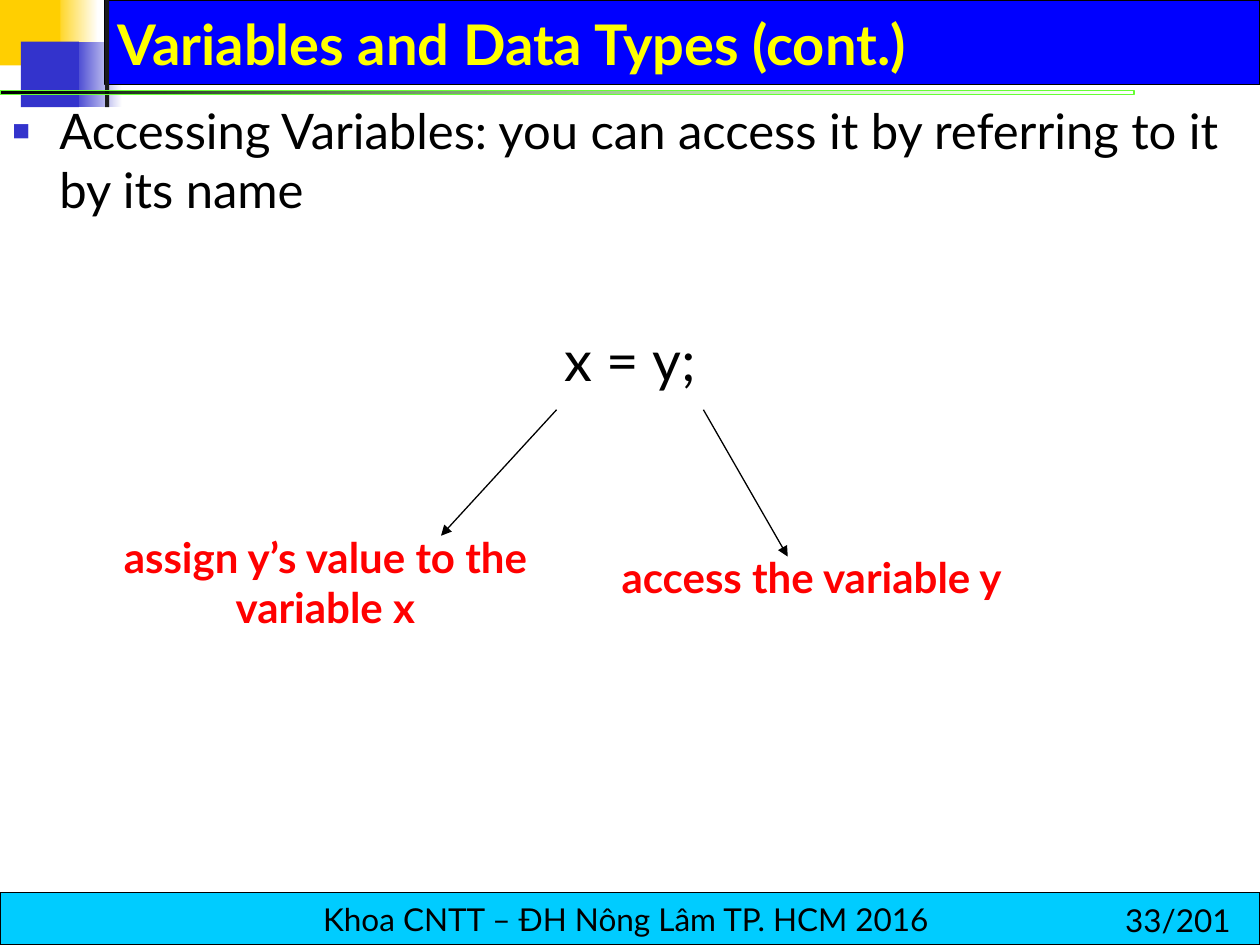
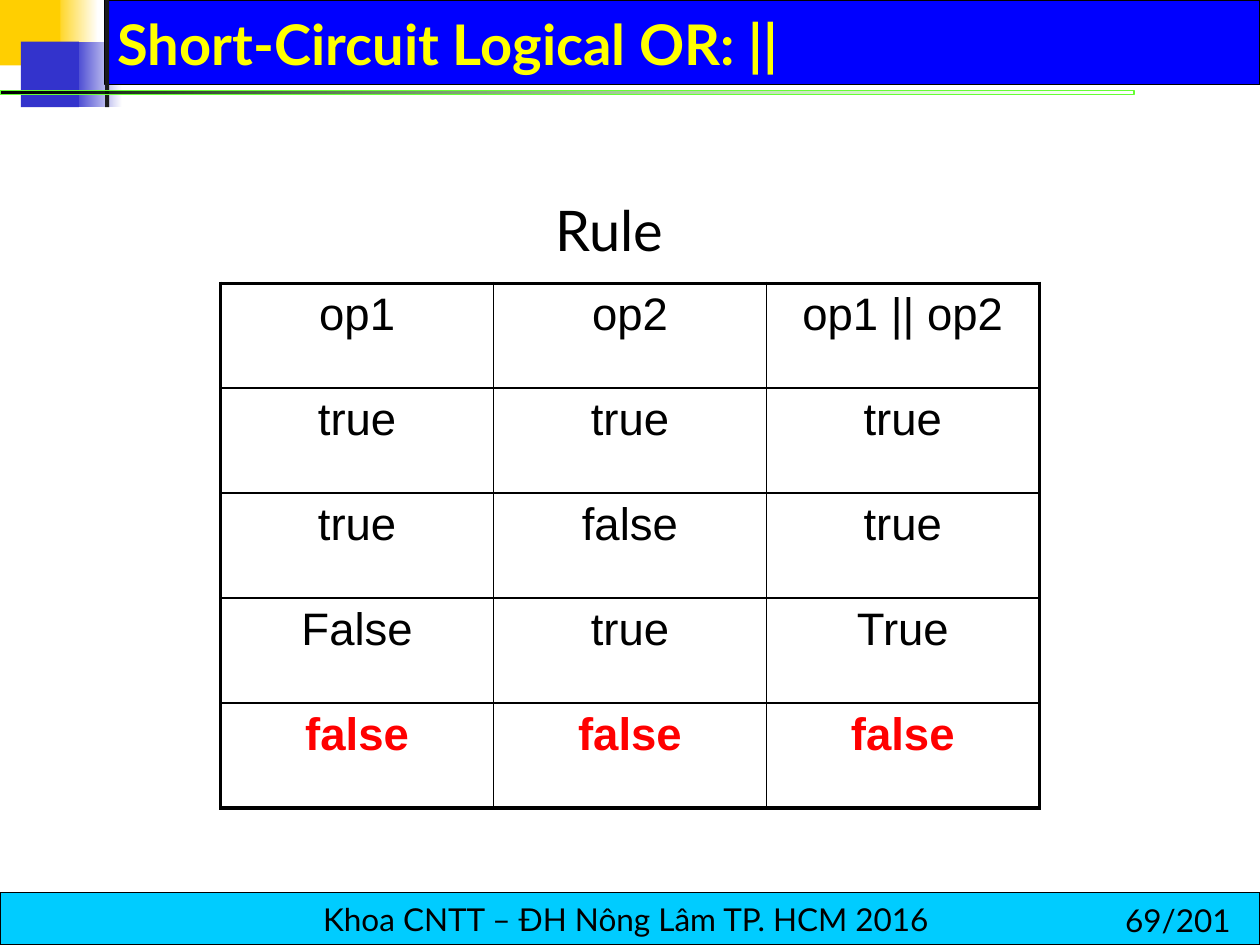
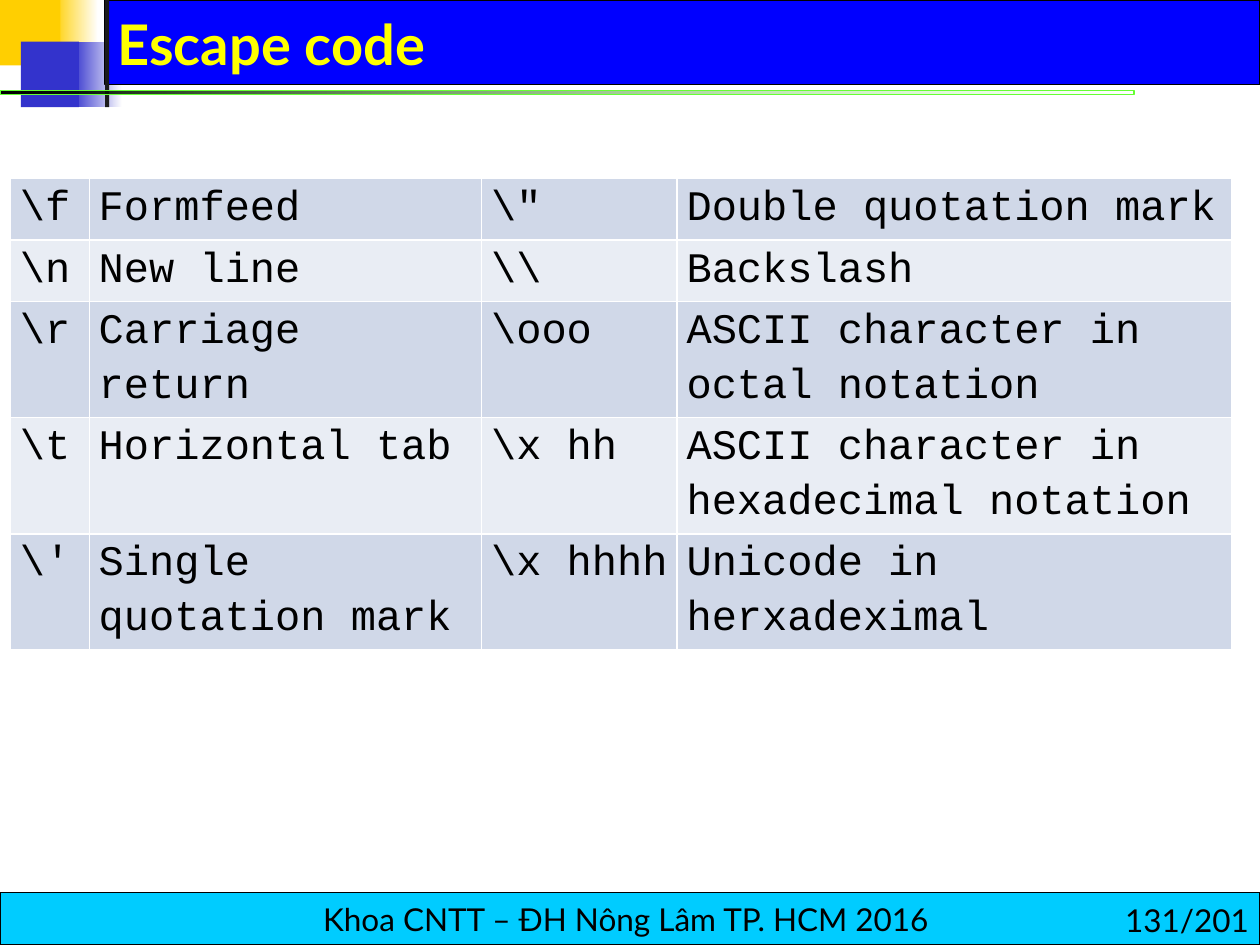
from lxml import etree
from pptx import Presentation
from pptx import util as u
from pptx.dml.color import RGBColor
from pptx.enum import shapes, text
from pptx.oxml import parse_xml
from pptx.oxml.ns import nsdecls, qn

C = {
    "black": "000000", "white": "FFFFFF", "red": "FF0000", "yellow": "FFFF00",
    "gold": "FFCF01", "indigo": "3333CC", "blue": "0000FF", "charcoal": "1C1C1C",
    "green": "66FF33", "cyan": "00CCFF", "band_dark": "D0D8E8", "band_light": "E9EDF4",
}
LEFT, CENTER = text.PP_ALIGN.LEFT, text.PP_ALIGN.CENTER
TOP, BOTTOM = text.MSO_ANCHOR.TOP, text.MSO_ANCHOR.BOTTOM


def write(tf, content, size, color="black", bold=False, align=LEFT, font="Lato"):
    tf.text = content
    p = tf.paragraphs[0]
    p.alignment = align
    r = p.runs[0]
    r.font.name = font
    r.font.size = u.Pt(size)
    r.font.bold = bold
    r.font.color.rgb = RGBColor.from_string(C[color])
    return p


def set_borders(cell, color, widths):
    tcPr = cell._tc.get_or_add_tcPr()
    for i, (side, width) in enumerate(zip("LRTB", widths)):
        tcPr.insert(i, parse_xml(
            f'<a:ln{side} {nsdecls("a")} w="{u.Pt(width)}"><a:solidFill>'
            f'<a:srgbClr val="{C[color]}"/></a:solidFill></a:ln{side}>'))


FRAME = [
    (1.07, 0, 0.91, 1.32, ("gold", "white"), None, 0),
    (1.45, 0.84, 1.02, 1.32, ("indigo", "white"), None, 0),
    (2.12, 0, 23.28, 1.7, ("blue",), "black", 0.75),
    (0, 0, 1.22, 1.32, ("gold",), None, 0),
    (0.42, 0.84, 1.17, 1.32, ("indigo",), None, 0),
    (2.12, 0, 0.08, 2.16, ("charcoal",), None, 0),
    (0, 1.83, 22.86, 0.08, ("black", "green"), "green", 0),
    (0, 17.99, 25.4, 1.06, ("cyan",), "black", 0.75),
]
FOOTER = "Khoa CNTT – ĐH Nông Lâm TP. HCM 2016 "
PAGES = [
    ("Variables and Data Types (cont.)", "33/201", [
        (12.28, 11, 9.74, 1.27, "access the variable y", 24, "red", True, LEFT, TOP),
        (6.99, 6.43, 11.43, 1.6, "x = y;", 32, "black", False, CENTER, TOP),
        (1.27, 10.58, 10.58, 2.31, "assign y’s value to the variable x", 24, "red", True, CENTER, TOP),
    ]),
    ("Short-Circuit Logical OR: ||", "69/201", [
        (8.47, 3.81, 7.62, 1.6, "Rule", 32, "black", False, CENTER, TOP),
    ]),
    ("Escape code", "131/201", []),
]

prs = Presentation()
prs.slide_width, prs.slide_height = u.Cm(25.4), u.Cm(19.05)
slides = []

for title, page, labels in PAGES:
    s = prs.slides.add_slide(prs.slide_layouts[6])
    slides.append(s)
    for x, y, w, h, fill, line, width in FRAME:
        sp = s.shapes.add_shape(shapes.MSO_SHAPE.RECTANGLE, u.Cm(x), u.Cm(y), u.Cm(w), u.Cm(h))
        sp.shadow.inherit = False
        if len(fill) == 1:
            sp.fill.solid()
            sp.fill.fore_color.rgb = RGBColor.from_string(C[fill[0]])
        else:
            sp.fill.gradient()
            sp.fill.gradient_angle = 0
            for stop, color in zip(sp.fill.gradient_stops, fill):
                stop.color.rgb = RGBColor.from_string(C[color])
        if line:
            sp.line.color.rgb = RGBColor.from_string(C[line])
            sp.line.width = u.Pt(width)
        else:
            sp.line.fill.background()
        if fill == ("black", "green"):
            end = list(sp._element.spPr.iter(qn("a:srgbClr")))[1]
            etree.SubElement(end, qn("a:alpha"), val="0")
        if fill == ("cyan",):
            sp.text_frame.word_wrap = False
            sp.text_frame.vertical_anchor = text.MSO_ANCHOR.MIDDLE
            write(sp.text_frame, FOOTER, 18, align=CENTER)

    shared = [
        (22.43, 18.03, 2.97, 1.02, page, 18, "black", False, LEFT, TOP),
        (2.12, 0.2, 22.7, 1.48, title, 32, "yellow", True, LEFT, BOTTOM),
    ]
    for x, y, w, h, content, size, color, bold, align, anchor in shared + labels:
        tf = s.shapes.add_textbox(u.Cm(x), u.Cm(y), u.Cm(w), u.Cm(h)).text_frame
        tf.word_wrap = True
        tf.vertical_anchor = anchor
        if content == page:
            tf.margin_right = 0
        write(tf, content, size, color, bold, align)

variables, logic, escapes = slides

tf = variables.shapes.add_textbox(0, u.Cm(1.9), u.Cm(25.4), u.Cm(15.88)).text_frame
tf.word_wrap = True
p = write(tf, "Accessing Variables: you can access it by referring to it by its name", 28)
pPr = p._p.get_or_add_pPr()
pPr.set("marL", str(u.Cm(0.95)))
pPr.set("indent", str(-u.Cm(0.95)))
bullet_color = etree.SubElement(pPr, qn("a:buClr"))
etree.SubElement(bullet_color, qn("a:srgbClr"), val=C["indigo"])
etree.SubElement(pPr, qn("a:buSzPct"), val="60000")
etree.SubElement(pPr, qn("a:buFont"), typeface="Arial")
etree.SubElement(pPr, qn("a:buChar"), char="■")

for x1, x2, y2 in [(14.18, 15.88, 11.22), (11.22, 8.89, 10.8)]:
    arrow = variables.shapes.add_connector(
        shapes.MSO_CONNECTOR.STRAIGHT, u.Cm(x1), u.Cm(8.26), u.Cm(x2), u.Cm(y2))
    arrow.line.color.rgb = RGBColor.from_string(C["black"])
    arrow.line.width = u.Pt(0.75)
    etree.SubElement(arrow.line._get_or_add_ln(), qn("a:tailEnd"), type="triangle")
    etree.SubElement(arrow._element.spPr, qn("a:effectLst"))

RULES = [
    ("op1", "op2", "op1 || op2"),
    ("true", "true", "true"),
    ("true", "false", "true"),
    ("False", "true", "True"),
    ("false", "false", "false"),
]
rows, cols = len(RULES), len(RULES[0])
table = logic.shapes.add_table(
    rows, cols, u.Cm(4.45), u.Cm(5.71), u.Cm(16.5), u.Cm(10.58)).table
table.first_row = table.horz_banding = False
for i, values in enumerate(RULES):
    last = i == rows - 1
    for j, value in enumerate(values):
        cell = table.cell(i, j)
        cell.fill.background()
        write(cell.text_frame, value, 26, "red" if last else "black", last, CENTER, "Arial")
        outer = (j == 0, j == cols - 1, i == 0, last)
        set_borders(cell, "black", [2.25 if edge else 1 for edge in outer])

CODES = [
    ("\\f", "Formfeed", "\\\"", "Double quotation mark"),
    ("\\n", "New line", "\\\\", "Backslash"),
    ("\\r", "Carriage return", "\\ooo", "ASCII character in octal notation"),
    ("\\t", "Horizontal tab", "\\x hh", "ASCII character in hexadecimal notation"),
    ("\\'", "Single quotation mark", "\\x hhhh", "Unicode in herxadeximal"),
]
table = escapes.shapes.add_table(
    len(CODES), 4, u.Cm(0.21), u.Cm(3.6), u.Cm(24.61), u.Cm(9.5)).table
table.first_row = table.horz_banding = False
for column, width in zip(table.columns, (1.59, 7.91, 3.94, 11.18)):
    column.width = u.Cm(width)
for i, values in enumerate(CODES):
    table.rows[i].height = u.Cm(1.24 if i < 2 else 2.34)
    for j, value in enumerate(values):
        cell = table.cell(i, j)
        cell.margin_left = cell.margin_right = u.Cm(0.19)
        cell.margin_top = cell.margin_bottom = 0
        cell.fill.solid()
        cell.fill.fore_color.rgb = RGBColor.from_string(C["band_light" if i % 2 else "band_dark"])
        write(cell.text_frame, value, 24, font="Courier New").line_spacing = 1.15
        set_borders(cell, "white", [1] * 4)

prs.save("out.pptx")
